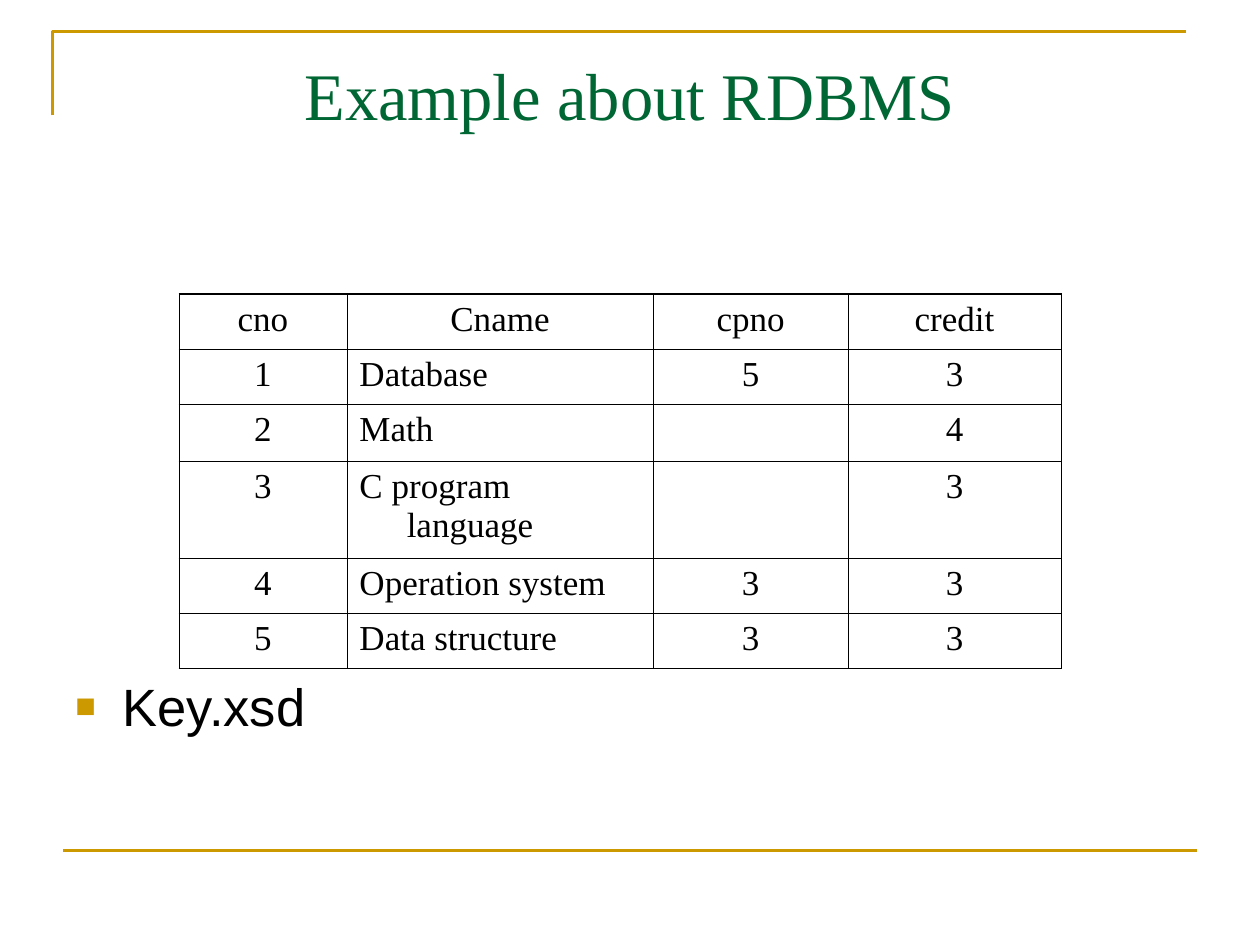
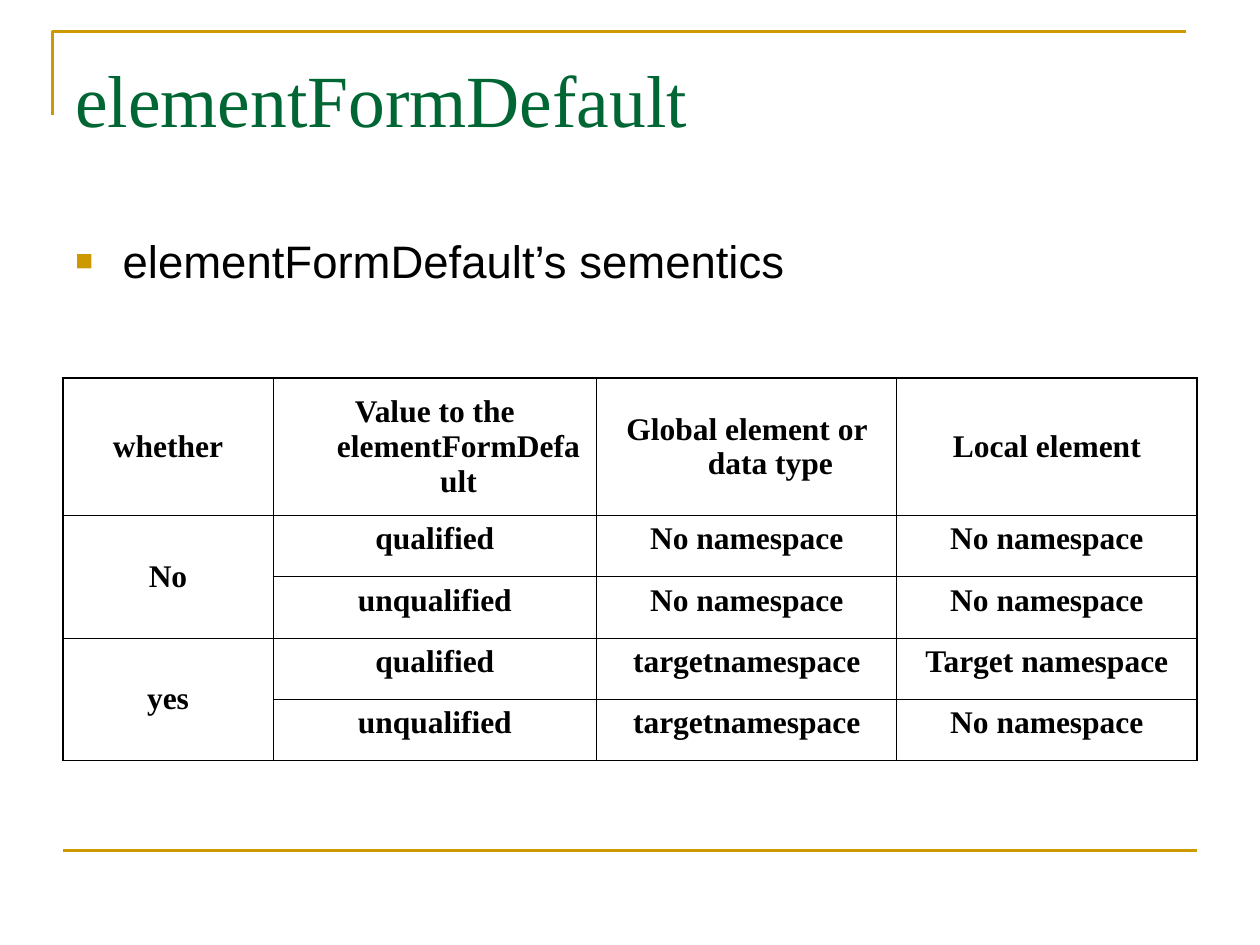
from pptx import Presentation
from pptx.dml.color import RGBColor
from pptx.enum.shapes import MSO_CONNECTOR
from pptx.enum.text import MSO_ANCHOR, PP_ALIGN
from pptx.oxml.ns import qn
from pptx.util import Pt
from lxml import etree

GOLD = RGBColor(0xCC, 0x99, 0x00)
GREEN = RGBColor(0x00, 0x66, 0x33)
BLACK = RGBColor(0x00, 0x00, 0x00)
LEFT, CENTER = PP_ALIGN.LEFT, PP_ALIGN.CENTER
TOP, MIDDLE = MSO_ANCHOR.TOP, MSO_ANCHOR.MIDDLE
STRAIGHT = MSO_CONNECTOR.STRAIGHT
SERIF, SANS = "Times New Roman", "Arial"
NO_TABLE_STYLE = "{2D5ABB26-0587-4C30-8999-92F81FD0307C}"
HANGING = 27
MARGIN, CONTENT_WIDTH = 36, 648
OUTER_BORDER = 0.96

SLIDES = [
    {
        "title": "Example about RDBMS", "title_size": 38, "title_align": CENTER,
        "bullet": "Key.xsd", "bullet_size": 30, "bullet_top": 378, "bullet_height": 104.4,
        "table_left": 102.24, "table_top": 168,
        "columns": [96, 175, 111.5, 121.5],
        "rows": [31.5, 31.5, 32.5, 55.5, 31.5, 31.5],
        "cells": [
            ["cno", "Cname", "cpno", "credit"],
            ["1", "Database", "5", "3"],
            ["2", "Math", "", "4"],
            ["3", "C program language", "", "3"],
            ["4", "Operation system", "3", "3"],
            ["5", "Data structure", "3", "3"],
        ],
        "merges": [], "left_column": 1, "middle_header": False,
        "cell_font": {"name": SERIF, "size": Pt(20), "bold": False},
        "inner_border": 0.06, "side_border": 0.34,
    },
    {
        "title": "elementFormDefault", "title_size": 42, "title_align": LEFT,
        "bullet": "elementFormDefault’s sementics", "bullet_size": 26,
        "bullet_top": 126, "bullet_height": 54,
        "table_left": 36, "table_top": 216,
        "columns": [120, 185, 171.5, 171.5],
        "rows": [78.6, 35, 35, 35, 35],
        "cells": [
            ["whether", "Value to the elementFormDefault",
             "Global element or data type", "Local element"],
            ["No", "qualified", "No namespace", "No namespace"],
            ["", "unqualified", "No namespace", "No namespace"],
            ["yes", "qualified", "targetnamespace", "Target namespace"],
            ["", "unqualified", "targetnamespace", "No namespace"],
        ],
        "merges": [(1, 2), (3, 4)], "left_column": None, "middle_header": True,
        "cell_font": {"name": SERIF, "size": Pt(18), "bold": True},
        "inner_border": 0.45, "side_border": OUTER_BORDER,
    },
]


def add_text(slide, text, top, height, inset, align, font):
    box = slide.shapes.add_textbox(Pt(MARGIN), Pt(top), Pt(CONTENT_WIDTH), Pt(height))
    frame = box.text_frame
    frame.word_wrap = True
    frame.margin_top = Pt(inset)
    paragraph = frame.paragraphs[0]
    paragraph.alignment = align
    run = paragraph.add_run()
    run.text = text
    run.font.color.rgb = font["color"]
    for name in ("name", "size"):
        setattr(run.font, name, font[name])
    return paragraph


def set_indent(paragraph):
    properties = paragraph._p.get_or_add_pPr()
    properties.set("marL", str(Pt(HANGING)))
    properties.set("indent", str(-Pt(HANGING)))
    return properties


presentation = Presentation()
presentation.slide_width, presentation.slide_height = Pt(720), Pt(540)

for content in SLIDES:
    slide = presentation.slides.add_slide(presentation.slide_layouts[6])

    # Corner rule at the top, straight rule at the bottom
    builder = slide.shapes.build_freeform(Pt(30), Pt(66))
    builder.add_line_segments([(Pt(30), Pt(18)), (Pt(678), Pt(18))], close=False)
    corner = builder.convert_to_shape()
    corner.shadow.inherit = False
    corner.fill.background()
    footer_rule = slide.shapes.add_connector(
        STRAIGHT, Pt(MARGIN), Pt(486), Pt(MARGIN + CONTENT_WIDTH), Pt(486))
    etree.SubElement(footer_rule._element.spPr, qn("a:effectLst"))
    for rule in (corner, footer_rule):
        rule.line.color.rgb = GOLD
        rule.line.width = Pt(1.5)

    # Title
    add_text(slide, content["title"], 21.6, 90, 9, content["title_align"],
             {"name": SERIF, "size": Pt(content["title_size"]), "color": GREEN})

    # Bullet line
    paragraph = add_text(slide, content["bullet"], content["bullet_top"],
                         content["bullet_height"], 7, LEFT,
                         {"name": SANS, "size": Pt(content["bullet_size"]), "color": BLACK})
    properties = set_indent(paragraph)
    bullet_color = etree.SubElement(properties, qn("a:buClr"))
    etree.SubElement(bullet_color, qn("a:srgbClr"), val=str(GOLD))
    etree.SubElement(properties, qn("a:buSzPct"), val="65000")
    etree.SubElement(properties, qn("a:buFont"), typeface=SANS)
    etree.SubElement(properties, qn("a:buChar"), char="■")

    # Table grid
    rows, columns = content["rows"], content["columns"]
    table = slide.shapes.add_table(
        len(rows), len(columns), Pt(content["table_left"]), Pt(content["table_top"]),
        Pt(sum(columns)), Pt(sum(rows))).table
    table._tbl.tblPr.find(qn("a:tableStyleId")).text = NO_TABLE_STYLE
    table.first_row = table.horz_banding = False
    for column, width in zip(table.columns, columns):
        column.width = Pt(width)
    for row, height in zip(table.rows, rows):
        row.height = Pt(height)
    for first, last in content["merges"]:
        table.cell(first, 0).merge(table.cell(last, 0))

    # Table cells
    inner, side = content["inner_border"], content["side_border"]
    for row_index, texts in enumerate(content["cells"]):
        for column_index, text in enumerate(texts):
            cell = table.cell(row_index, column_index)
            centered_row = content["middle_header"] and row_index == 0
            cell.vertical_anchor = MIDDLE if centered_row or cell.is_merge_origin else TOP
            if text:
                paragraph = cell.text_frame.paragraphs[0]
                is_left = column_index == content["left_column"] and row_index > 0
                paragraph.alignment = LEFT if is_left else CENTER
                set_indent(paragraph)
                run = paragraph.add_run()
                run.text = text
                run.font.color.rgb = BLACK
                for name, value in content["cell_font"].items():
                    setattr(run.font, name, value)

            # Heavier borders on the outer edge
            span = cell.span_height if cell.is_merge_origin else 1
            borders = {
                "a:lnL": side if column_index == 0 else inner,
                "a:lnR": side if column_index == len(columns) - 1 else inner,
                "a:lnT": OUTER_BORDER if row_index == 0 else inner,
                "a:lnB": OUTER_BORDER if row_index + span == len(rows) else inner,
            }
            if cell.is_spanned:
                del borders["a:lnT"]
            cell_properties = cell._tc.get_or_add_tcPr()
            for tag, width in borders.items():
                border = etree.SubElement(cell_properties, qn(tag), w=str(Pt(width)))
                fill = etree.SubElement(border, qn("a:solidFill"))
                etree.SubElement(fill, qn("a:srgbClr"), val=str(BLACK))
            cell.fill.background()

presentation.save("out.pptx")
